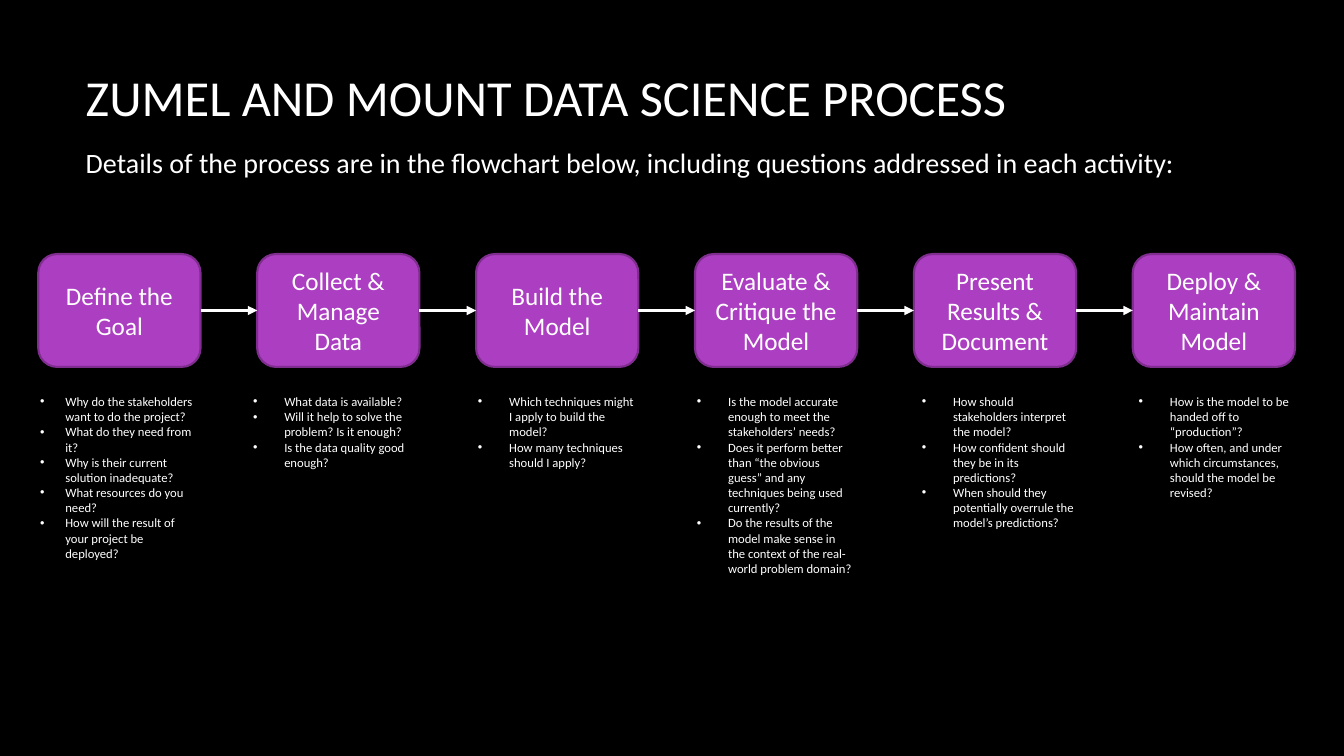
from lxml import etree
from pptx import Presentation
from pptx.dml.color import RGBColor
from pptx.enum.shapes import MSO_CONNECTOR, MSO_SHAPE
from pptx.enum.text import MSO_ANCHOR, MSO_AUTO_SIZE, PP_ALIGN
from pptx.oxml.ns import qn
from pptx.util import Inches, Pt

COLORS = {"background": "000000", "text": "FFFFFF", "step": "AC3EC1", "edge": "7F2E8F"}
FONT = "Calibri"
WIDTH, HEIGHT = Inches(13.33), Inches(7.5)
COLUMNS, ROWS = 80, 45
STEP_PITCH, STEP_WIDTH, STEP_HEIGHT = 13.03, 9.66, 6.72
QUESTIONS_DROP, QUESTIONS_WIDTH = 8.04, 10.56
QUESTIONS_PADDING, LINE_ROWS = 0.6, 0.91

# fields: label, questions, text lines, column offset, hanging indent in inches
STEPS = [
    ("Define the Goal",
     ["Why do the stakeholders want to do the project?",
      "What do they need from it?",
      "Why is their current solution inadequate?",
      "What resources do you need?",
      "How will the result of your project be deployed?"], 11, -0.48, 0.25),
    ("Collect & Manage Data",
     ["What data is available?",
      "Will it help to solve the problem? Is it enough?",
      "Is the data quality good enough?"], 5, -0.84, 0.31),
    ("Build the Model",
     ["Which techniques might I apply to build the model?",
      "How many techniques should I apply?"], 5, -0.48, 0.31),
    ("Evaluate & Critique the Model",
     ["Is the model accurate enough to meet the stakeholders’ needs?",
      "Does it perform better than “the obvious guess” and any techniques "
      "being used currently?",
      "Do the results of the model make sense in the context of the "
      "real-world problem domain?"], 12, -0.48, 0.31),
    ("Present Results & Document",
     ["How should stakeholders interpret the model?",
      "How confident should they be in its predictions?",
      "When should they potentially overrule the model’s predictions?"], 9, -0.12, 0.31),
    ("Deploy & Maintain Model",
     ["How is the model to be handed off to “production”?",
      "How often, and under which circumstances, should the model be revised?"],
     7, -0.24, 0.31),
]


def color(name):
    """Return a palette colour."""
    return RGBColor.from_string(COLORS[name])


def grid(left, top, width, height):
    """Turn grid columns and rows into slide lengths."""
    column, row = WIDTH / COLUMNS, HEIGHT / ROWS
    return int(left * column), int(top * row), int(width * column), int(height * row)


def move(shape, box):
    """Place a shape in a grid box."""
    shape.left, shape.top, shape.width, shape.height = grid(*box)


def write(paragraph, text, size, align=PP_ALIGN.LEFT):
    """Write one formatted run into a paragraph."""
    run = paragraph.add_run()
    run.text = text
    run.font.name, run.font.size = FONT, Pt(size)
    run.font.color.rgb = color("text")
    paragraph.alignment = align


def set_bullet(paragraph, indent, char=None):
    """Set a hanging indent with a bullet, or no bullet at all."""
    properties = paragraph._p.get_or_add_pPr()
    properties.set("marL", str(Inches(indent)))
    properties.set("indent", str(-Inches(indent)))
    if char:
        etree.SubElement(properties, qn("a:buFont")).set("typeface", "Arial")
        etree.SubElement(properties, qn("a:buChar")).set("char", char)
    else:
        etree.SubElement(properties, qn("a:buNone"))


def add_heading(slide, title_box, body_box):
    """Fill the title and the introduction placeholders."""
    title, body = slide.shapes.title, slide.placeholders[1]
    move(title, title_box)
    move(body, body_box)
    for shape, anchor in ((title, MSO_ANCHOR.MIDDLE), (body, MSO_ANCHOR.TOP)):
        shape.text_frame.auto_size = MSO_AUTO_SIZE.NONE
        shape.text_frame.vertical_anchor = anchor
    write(title.text_frame.paragraphs[0], "ZUMEL AND MOUNT DATA SCIENCE PROCESS", 36)
    intro = body.text_frame.paragraphs[0]
    write(intro, "Details of the process are in the flowchart below, "
                 "including questions addressed in each activity:", 20)
    intro.space_before, intro.space_after = Pt(0), Pt(10)
    set_bullet(intro, 0)


def add_step(slide, box, label):
    """Add one rounded step of the process."""
    step = slide.shapes.add_shape(MSO_SHAPE.ROUNDED_RECTANGLE, *grid(*box))
    step.shadow.inherit = False
    step.fill.solid()
    step.fill.fore_color.rgb = color("step")
    step.line.color.rgb = color("edge")
    step.line.width = Pt(1.5)
    step.text_frame.word_wrap = True
    step.text_frame.vertical_anchor = MSO_ANCHOR.MIDDLE
    write(step.text_frame.paragraphs[0], label, 18, PP_ALIGN.CENTER)
    return step


def add_questions(slide, box, questions, indent):
    """Add the bulleted questions of a step."""
    frame = slide.shapes.add_textbox(*grid(*box)).text_frame
    frame.word_wrap = True
    frame.auto_size = MSO_AUTO_SIZE.SHAPE_TO_FIT_TEXT
    for index, question in enumerate(questions):
        paragraph = frame.add_paragraph() if index else frame.paragraphs[0]
        write(paragraph, question, 9)
        set_bullet(paragraph, indent, "•")


def add_arrow(slide, source, target):
    """Connect the right side of one step to the left side of the next."""
    arrow = slide.shapes.add_connector(MSO_CONNECTOR.STRAIGHT, 0, 0, 0, 0)
    arrow.begin_connect(source, 3)
    arrow.end_connect(target, 1)
    arrow.line.color.rgb = color("text")
    arrow.line.width = Pt(2.25)
    etree.SubElement(arrow.line._get_or_add_ln(), qn("a:tailEnd")).set("type", "triangle")
    etree.SubElement(arrow._element.spPr, qn("a:effectLst"))


def add_process(slide, left, top):
    """Lay out the steps, their arrows and their questions."""
    boxes = []
    for index, (label, questions, lines, offset, indent) in enumerate(STEPS):
        x = left + index * STEP_PITCH
        boxes.append(add_step(slide, (x, top, STEP_WIDTH, STEP_HEIGHT), label))
        height = QUESTIONS_PADDING + lines * LINE_ROWS
        add_questions(slide, (x + offset, top + QUESTIONS_DROP, QUESTIONS_WIDTH, height),
                      questions, indent)
    for source, target in zip(boxes, boxes[1:]):
        add_arrow(slide, source, target)


def main():
    """Build and save the slide."""
    deck = Presentation()
    deck.slide_width, deck.slide_height = WIDTH, HEIGHT
    slide = deck.slides.add_slide(deck.slide_layouts[1])
    slide.background.fill.solid()
    slide.background.fill.fore_color.rgb = color("background")
    add_heading(slide, (4.5, 0.96, 66.5, 9.54), (4.5, 8.34, 66.5, 33.84))
    add_process(slide, 2.28, 15.12)
    deck.save("out.pptx")


main()
